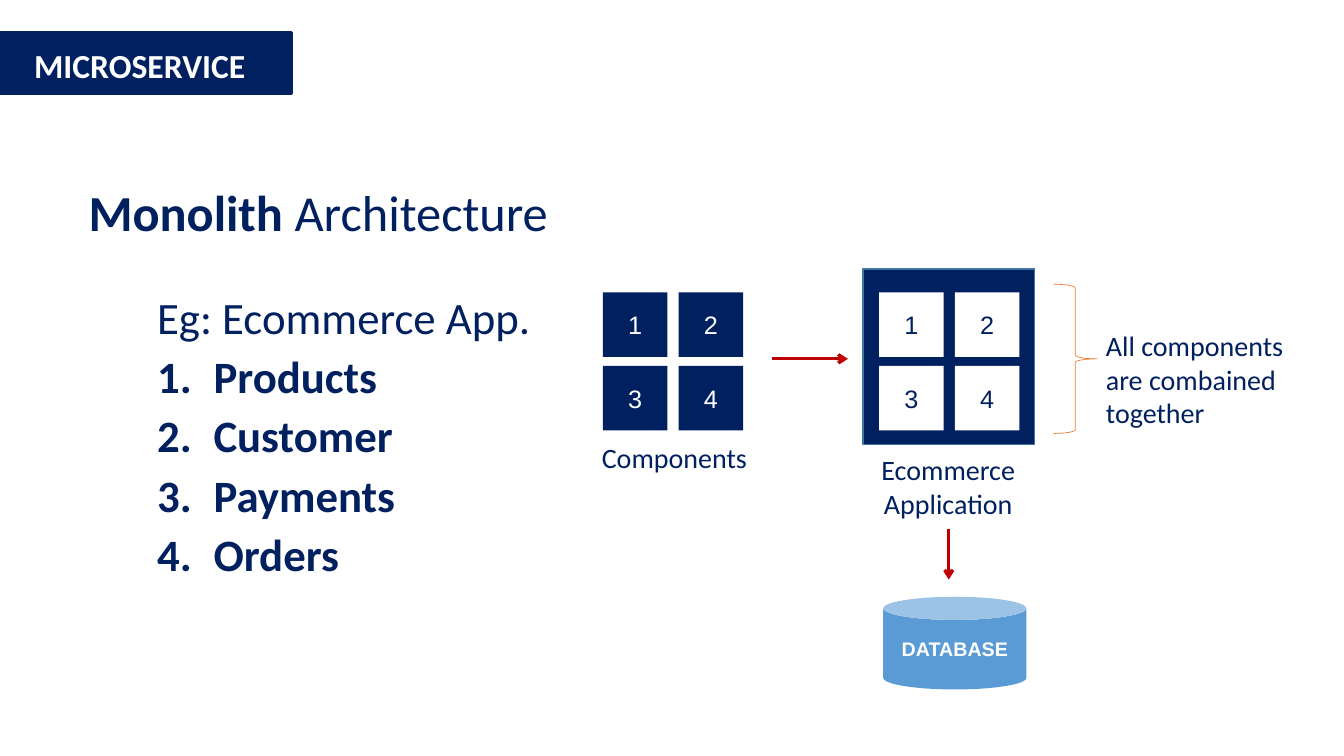
from pptx import Presentation
from pptx.dml.color import RGBColor
from pptx.enum.shapes import MSO_CONNECTOR, MSO_SHAPE
from pptx.enum.text import MSO_ANCHOR, PP_ALIGN
from pptx.oxml.ns import qn
from pptx.util import Inches, Pt
from lxml.etree import SubElement

NAVY = RGBColor(0x00, 0x20, 0x60)
WHITE = RGBColor(0xFF, 0xFF, 0xFF)
BLUE = RGBColor(0x5B, 0x9B, 0xD5)
EDGE_BLUE = RGBColor(0x43, 0x73, 0x9E)
RED = RGBColor(0xC0, 0x00, 0x00)
ORANGE = RGBColor(0xED, 0x7D, 0x31)

# Content
TOPIC = "MICROSERVICE"
HEADING = [("Monolith ", True), ("Architecture", False)]
EXAMPLE = "Eg: Ecommerce App."
MODULES = ["Products", "Customer", "Payments", "Orders"]
COMPONENTS = ["1", "2", "3", "4"]

# Captions: text, box, line spacing, alignment
CAPTIONS = [
    ("Components", (5.87, 4.15, 1.69, 0.6), 1.5, PP_ALIGN.LEFT),
    ("Ecommerce Application", (8.46, 4.44, 1.89, 0.77), 1, PP_ALIGN.CENTER),
    ("All components are combained together", (10.87, 3.21, 2.02, 1.11), 1, PP_ALIGN.LEFT),
]
# Arrows: start x, start y, end x, end y
ARROWS = [(7.66, 3.56, 8.41, 3.56), (9.41, 5.25, 9.41, 5.75)]

# Component grid
TILE = 0.64
COLUMN_STEP, ROW_STEP = 0.75, 0.73
GRID_TOP = 2.9
# Grids: left, tile colour, number colour
LOOSE_GRID = (5.98, NAVY, WHITE)
PACKED_GRID = (8.72, WHITE, NAVY)

prs = Presentation()
prs.slide_width, prs.slide_height = Inches(13.33), Inches(7.5)
slide = prs.slides.add_slide(prs.slide_layouts[6])


def style(paragraph, size, color, bold=False, face="Calibri"):
    font = paragraph.font
    font.name, font.size, font.bold = face, Pt(size), bold
    font.color.rgb = color


def add_block(kind, box, fill=None, line=None, width=1):
    block = slide.shapes.add_shape(kind, *map(Inches, box))
    block.shadow.inherit = False
    if fill is None:
        block.fill.background()
    else:
        block.fill.solid()
        block.fill.fore_color.rgb = fill
    if line is None:
        block.line.fill.background()
    else:
        block.line.color.rgb = line
        block.line.width = Pt(width)
    return block


def label(block, text, size, color, bold=False):
    frame = block.text_frame
    frame.vertical_anchor = MSO_ANCHOR.MIDDLE
    paragraph = frame.paragraphs[0]
    paragraph.text = text
    paragraph.alignment = PP_ALIGN.CENTER
    style(paragraph, size, color, bold, "Arial")


def add_text(box):
    frame = slide.shapes.add_textbox(*map(Inches, box)).text_frame
    frame.word_wrap = True
    return frame


def add_grid(left, fill, color):
    for i, component in enumerate(COMPONENTS):
        row, column = divmod(i, 2)
        box = (left + column * COLUMN_STEP, GRID_TOP + row * ROW_STEP, TILE, TILE)
        label(add_block(MSO_SHAPE.RECTANGLE, box, fill), component, 18, color)


# Topic banner
add_block(MSO_SHAPE.RECTANGLE, (0.01, 0.32, 2.88, 0.61), NAVY, NAVY, 2.25)
topic = add_text((0.24, 0.4, 2.6, 0.5)).paragraphs[0]
topic.text = TOPIC
style(topic, 24, WHITE, True)

# Heading
heading = add_text((0.78, 1.45, 5.09, 1.01)).paragraphs[0]
heading.line_spacing = 1.5
style(heading, 36, NAVY)
for words, bold in HEADING:
    run = heading.add_run()
    run.text, run.font.bold = words, bold

# Example with numbered modules
example_frame = add_text((1.46, 2.56, 4.26, 3.27))
example = example_frame.paragraphs[0]
example.text = EXAMPLE
example.line_spacing = 1.5
style(example, 32, NAVY)
for module in MODULES:
    item = example_frame.add_paragraph()
    item.text = module
    item.line_spacing = 1.1
    style(item, 32, NAVY, True)
    properties = item._p.get_or_add_pPr()
    properties.set("marL", str(Inches(0.56)))
    properties.set("indent", str(-Inches(0.56)))
    numbering = properties.makeelement(qn("a:buAutoNum"), {"type": "arabicPeriod"})
    properties.insert_element_before(numbering, "a:tabLst", "a:defRPr", "a:extLst")

# Separate components, then the application that packs them
add_grid(*LOOSE_GRID)
add_block(MSO_SHAPE.RECTANGLE, (8.56, 2.67, 1.7, 1.74), NAVY, EDGE_BLUE)
add_grid(*PACKED_GRID)
add_block(MSO_SHAPE.RIGHT_BRACE, (10.45, 2.82, 0.43, 1.48), line=ORANGE, width=0.5)

# Database
database = add_block(MSO_SHAPE.CAN, (8.76, 5.92, 1.42, 0.92), BLUE)
label(database, "DATABASE", 14, WHITE, True)

# Captions
for text, box, spacing, alignment in CAPTIONS:
    caption = add_text(box).paragraphs[0]
    caption.text = text
    caption.line_spacing = spacing
    caption.alignment = alignment
    style(caption, 20, NAVY)

# Arrows
for ends in ARROWS:
    arrow = slide.shapes.add_connector(MSO_CONNECTOR.STRAIGHT, *map(Inches, ends))
    arrow.line.color.rgb = RED
    arrow.line.width = Pt(2.25)
    SubElement(arrow.line._get_or_add_ln(), qn("a:tailEnd"), type="arrow")
    SubElement(arrow._element.spPr, qn("a:effectLst"))

prs.save("out.pptx")
